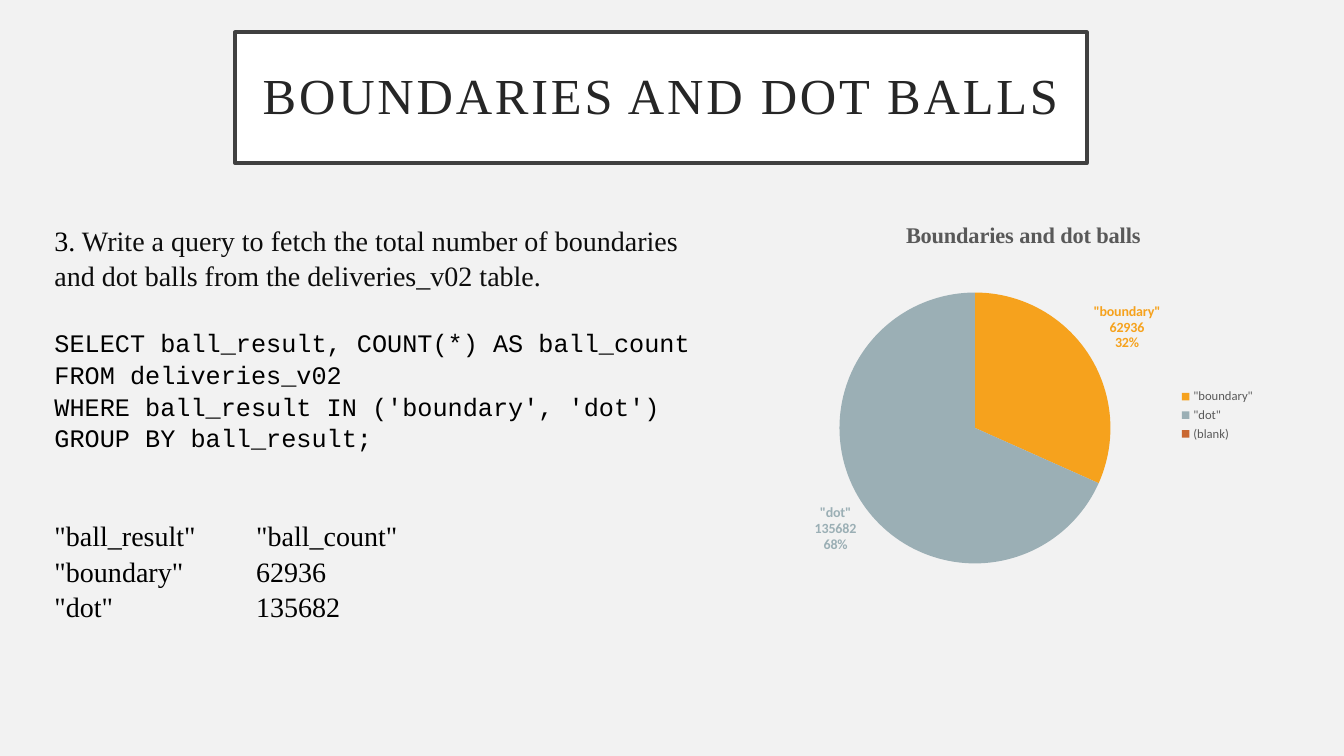
from dataclasses import dataclass

from lxml.etree import SubElement
from pptx import Presentation
from pptx.chart.data import CategoryChartData
from pptx.dml.color import RGBColor
from pptx.enum.chart import XL_CHART_TYPE, XL_LABEL_POSITION, XL_LEGEND_POSITION
from pptx.enum.shapes import MSO_SHAPE
from pptx.enum.text import MSO_ANCHOR, PP_ALIGN
from pptx.oxml import parse_xml
from pptx.oxml.ns import nsdecls, qn
from pptx.util import Inches, Pt


@dataclass(frozen=True)
class Theme:
    """Colours, fonts and type sizes of the slide."""
    background: str = "F2F2F2"
    panel: str = "FFFFFF"
    frame: str = "404040"
    heading: str = "262626"
    ink: str = "000000"
    body: str = "0D0D0D"
    muted: str = "595959"
    slices: tuple = ("F6A21D", "9BAFB5", "C96731")
    serif: str = "Times New Roman"
    mono: str = "Courier New"
    sans: str = "Calibri"
    title_size: int = 36
    body_size: int = 20
    code_size: int = 18
    chart_title_size: int = 16
    label_size: int = 10
    legend_size: int = 9


class SlideBuilder:
    """Draws styled elements on the current slide."""

    def __init__(self, slide, theme):
        self.slide = slide
        self.theme = theme
        slide.background.fill.solid()
        slide.background.fill.fore_color.rgb = RGBColor.from_string(theme.background)

    def style(self, font, name, size, color, bold=False):
        font.name, font.size, font.bold = name, Pt(size), bold
        font.color.rgb = RGBColor.from_string(color)

    def title(self, text, left, top, width, height):
        theme = self.theme
        banner = self.slide.shapes.add_shape(
            MSO_SHAPE.RECTANGLE, Inches(left), Inches(top), Inches(width), Inches(height))
        banner.shadow.inherit = False
        banner.fill.solid()
        banner.fill.fore_color.rgb = RGBColor.from_string(theme.panel)
        banner.line.color.rgb = RGBColor.from_string(theme.frame)
        banner.line.width = Pt(2.5)
        frame = banner.text_frame
        frame.word_wrap = True
        frame.vertical_anchor = MSO_ANCHOR.MIDDLE
        heading = frame.paragraphs[0]
        heading.alignment = PP_ALIGN.CENTER
        heading.line_spacing = 0.9
        self.style(heading.font, theme.serif, theme.title_size, theme.heading)
        run = heading.add_run()
        run.text = text
        run.font._element.set("spc", "200")

    def text_area(self, left, top, width, height):
        area = self.slide.shapes.add_textbox(
            Inches(left), Inches(top), Inches(width), Inches(height))
        frame = area.text_frame
        frame.word_wrap = True
        frame.margin_left = frame.margin_right = frame.margin_bottom = 0
        frame.margin_top = Inches(0.04)
        return frame

    def paragraph(self, frame, parts, name, size, before=0, tab=None):
        first = frame.paragraphs[0]
        paragraph = frame.add_paragraph() if first.text else first
        paragraph.line_spacing = 1.05
        if before:
            paragraph.space_before = Pt(before)
        if tab:
            tabs = SubElement(paragraph._p.get_or_add_pPr(), qn("a:tabLst"))
            SubElement(tabs, qn("a:tab"), pos=str(Inches(tab)), algn="l")
        self.style(paragraph.font, name, size, self.theme.ink)
        if isinstance(parts, str):
            paragraph.text = parts
            return
        for text, color in parts:
            run = paragraph.add_run()
            run.text = text
            run.font.color.rgb = RGBColor.from_string(color)

    def pie(self, title, counts, left, top, width, height, plot_box):
        theme = self.theme
        data = CategoryChartData()
        data.categories = list(counts)
        data.add_series("Series 1", list(counts.values()))
        chart = self.slide.shapes.add_chart(
            XL_CHART_TYPE.PIE, Inches(left), Inches(top),
            Inches(width), Inches(height), data).chart
        self.style(chart.font, theme.sans, theme.label_size, theme.ink)
        chart.has_title = True
        heading = chart.chart_title.text_frame.paragraphs[0]
        heading.text = title
        self.style(heading.font, theme.serif, theme.chart_title_size, theme.muted, True)
        chart.chart_title.include_in_layout = False
        chart.has_legend = True
        chart.legend.position = XL_LEGEND_POSITION.RIGHT
        chart.legend.include_in_layout = False
        self.style(chart.legend.font, theme.sans, theme.legend_size, theme.muted)

        plot = chart.plots[0]
        plot.vary_by_categories = True
        series = plot.series[0]
        for index, color in enumerate(theme.slices):
            point = series.points[index]
            point.format.fill.solid()
            point.format.fill.fore_color.rgb = RGBColor.from_string(color)
            label = point.data_label
            self.style(label.font, theme.sans, theme.label_size, color, True)
            label.position = XL_LABEL_POSITION.OUTSIDE_END
        for flag in chart._chartSpace.xpath(".//c:showCatName | .//c:showPercent"):
            flag.set("val", "1")

        area = chart._chartSpace.xpath(".//c:plotArea")[0]
        for layout in area.findall(qn("c:layout")):
            area.remove(layout)
        x, y, w, h = plot_box
        area.insert(0, parse_xml(
            f'<c:layout {nsdecls("c")}><c:manualLayout><c:layoutTarget val="inner"/>'
            f'<c:xMode val="edge"/><c:yMode val="edge"/><c:x val="{x}"/><c:y val="{y}"/>'
            f'<c:w val="{w}"/><c:h val="{h}"/></c:manualLayout></c:layout>'))


def main():
    theme = Theme()
    deck = Presentation()
    deck.slide_width, deck.slide_height = Inches(13.33), Inches(7.5)
    builder = SlideBuilder(deck.slides.add_slide(deck.slide_layouts[6]), theme)

    builder.title("BOUNDARIES AND DOT BALLS", 2.33, 0.32, 8.45, 1.3)

    query = builder.text_area(0.54, 2.16, 6.35, 4.63)
    question = [
        ("3.", theme.ink),
        (" Write a query to fetch the total number of boundaries and dot balls "
         "from the deliveries_v02 table.", theme.body),
    ]
    builder.paragraph(query, question, theme.serif, theme.body_size)
    code = ("SELECT ball_result, COUNT(*) AS ball_count\n"
            "FROM deliveries_v02\n"
            "WHERE ball_result IN ('boundary', 'dot')\n"
            "GROUP BY ball_result;")
    builder.paragraph(query, code, theme.mono, theme.code_size, before=24)

    counts = {'"boundary"': 62936, '"dot"': 135682}
    results = [('"ball_result"', '"ball_count"'), *counts.items()]
    for row, (result, count) in enumerate(results):
        builder.paragraph(query, f"{result}\t{count}", theme.serif, theme.body_size,
                          before=0 if row else 46, tab=2)

    builder.pie("Boundaries and dot balls", {**counts, "(blank)": None},
                7.75, 2.01, 4.8, 4.22, plot_box=(0.12, 0.16, 0.56, 0.74))
    deck.save("out.pptx")


if __name__ == "__main__":
    main()
